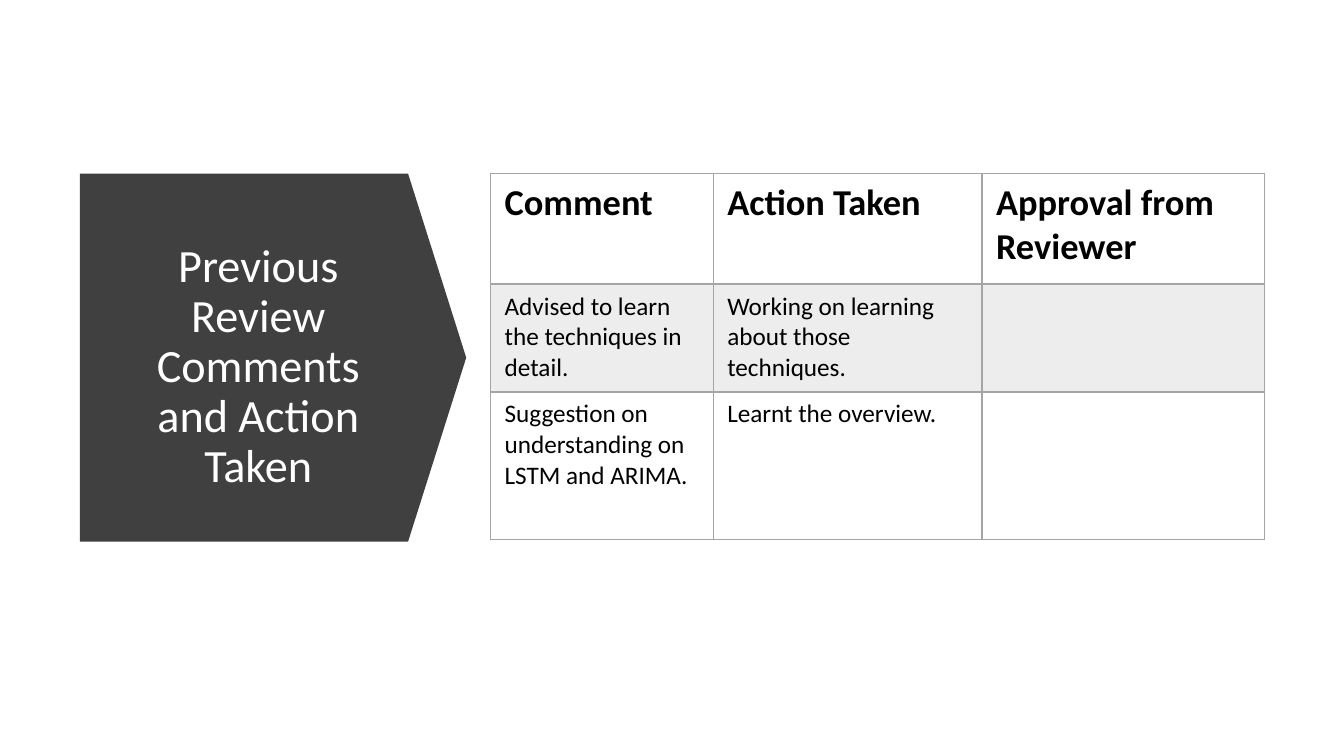
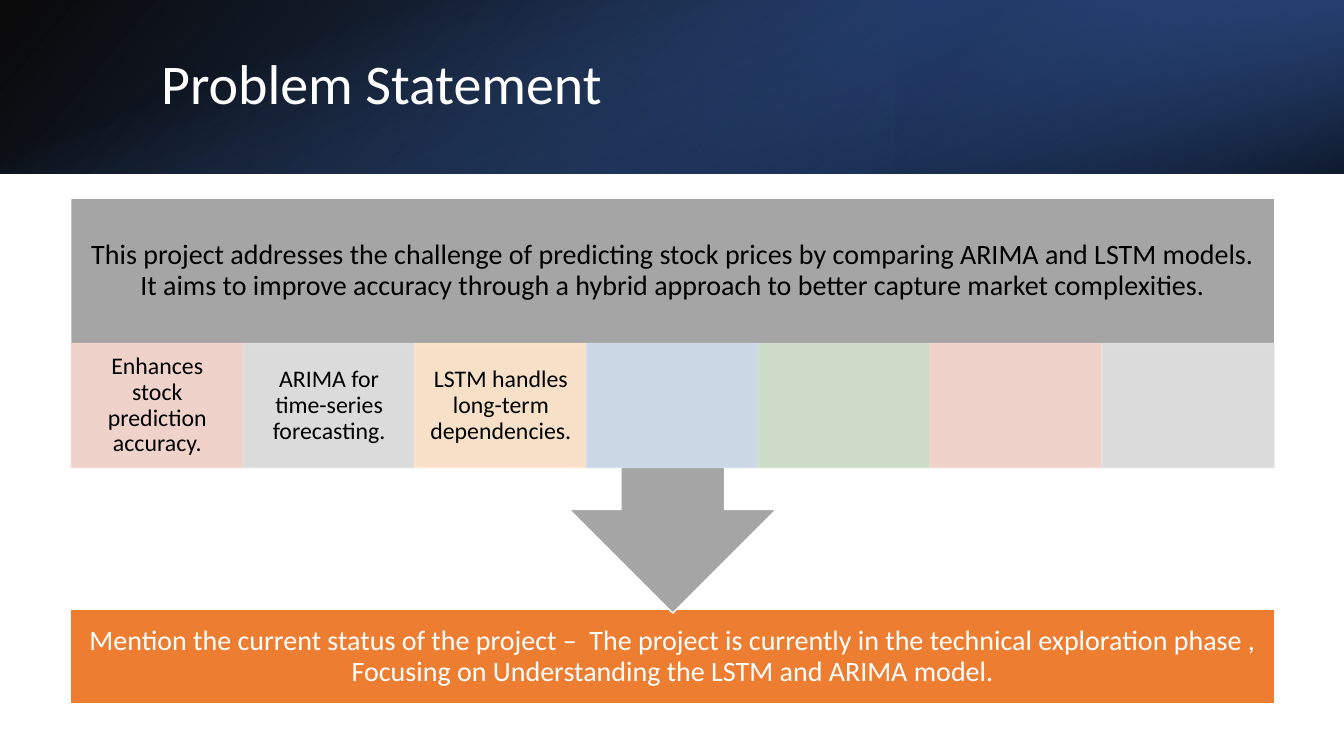
from dataclasses import dataclass

from pptx import Presentation
from pptx.dml.color import RGBColor
from pptx.enum.shapes import MSO_SHAPE as Shape
from pptx.enum.text import MSO_ANCHOR as Anchor, PP_ALIGN as Align
from pptx.oxml.ns import qn
from pptx.oxml.xmlchemy import OxmlElement
from pptx.util import Pt


@dataclass(frozen=True)
class Theme:
    font: str = "Calibri"
    white: str = "FFFFFF"
    black: str = "000000"
    dark: str = "404040"
    gray: str = "A5A5A5"
    stripe: str = "EDEDED"
    orange: str = "ED7D31"
    tiles: tuple = ("F8D7CE", "E1E1E1", "FFE8CC", "D2DEEF", "D5E3CF")
    title: float = 40
    side_title: float = 33
    header: float = 26
    body: float = 20
    cell: float = 18
    tile: float = 17


T = Theme()
WIDTH, HEIGHT = 960, 540


def rgb(color):
    return RGBColor.from_string(color)


def write(tf, text, size, color, align=Align.LEFT, bold=False, spacing=0.9):
    p = tf.paragraphs[0]
    p.alignment, p.line_spacing = align, spacing
    r = p.add_run()
    r.text = text
    r.font.name, r.font.size, r.font.bold = T.font, Pt(size), bold
    r.font.color.rgb = rgb(color)


def set_frame(tf, inset_x, inset_y):
    tf.word_wrap, tf.vertical_anchor = True, Anchor.MIDDLE
    tf.margin_left = tf.margin_right = Pt(inset_x)
    tf.margin_top = tf.margin_bottom = Pt(inset_y)


def add_text(s, box, text, size, color, align=Align.LEFT, insets=(7.2, 3.6)):
    tf = s.shapes.add_textbox(*map(Pt, box)).text_frame
    set_frame(tf, *insets)
    write(tf, text, size, color, align)


def add_block(s, kind, box, fill=None, line=None):
    sp = s.shapes.add_shape(kind, *map(Pt, box))
    sp.shadow.inherit = False
    if fill:
        sp.fill.solid()
        sp.fill.fore_color.rgb = rgb(fill)
    if line:
        sp.line.color.rgb = rgb(line)
        sp.line.width = Pt(1)
    else:
        sp.line.fill.background()
    return sp


def set_alpha(sp, alphas):
    """Give the shape's colours, in order, their opacity in percent."""
    for clr, percent in zip(sp._element.spPr.iter(qn("a:srgbClr")), alphas):
        alpha = OxmlElement("a:alpha")
        alpha.set("val", str(percent * 1000))
        clr.append(alpha)


def add_gradient(s, box, angle, stops, rotation=0, flip=False):
    """Angle is clockwise; each stop is (position %, colour, opacity %)."""
    sp = add_block(s, Shape.RECTANGLE, box)
    sp.fill.gradient()
    sp.fill.gradient_angle = 360 - angle
    for stop, (position, color, _) in zip(sp.fill.gradient_stops, stops):
        stop.position = position / 100
        stop.color.rgb = rgb(color)
    set_alpha(sp, [alpha for _, _, alpha in stops])
    sp.rotation = rotation
    if flip:
        sp._element.spPr.find(qn("a:xfrm")).set("flipH", "1")


def set_borders(cell, widths):
    """Widths are in points, in the order left, right, top, bottom."""
    tcPr = cell._tc.get_or_add_tcPr()
    for i, (side, width) in enumerate(zip("LRTB", widths)):
        ln = OxmlElement(f"a:ln{side}")
        ln.set("w", str(Pt(width)))
        fill, clr = OxmlElement("a:solidFill"), OxmlElement("a:srgbClr")
        clr.set("val", T.gray)
        fill.append(clr)
        ln.append(fill)
        tcPr.insert(i, ln)


# Regions

def title_band(s, box, title):
    x, y, w, h = box
    add_gradient(s, box, 140, [(0, "000000", 96), (100, "2F5597", 100)], flip=True)
    # Glow over the right third
    add_gradient(s, (x + w * 2 / 3, y, w / 3, h), 320,
                 [(19, "203864", 68), (100, "4472C4", 79)], rotation=180, flip=True)
    # Shade over the whole band, drawn upright and turned about its centre
    add_gradient(s, (x + (w - h) / 2, y + (h - w) / 2, h, w), 340,
                 [(23, "4472C4", 0), (99, "000000", 74)], rotation=90)
    add_text(s, (x + 108, y + 27.5, 790, 69), title, T.title, T.white)


def side_title(s, box, title):
    x, y, w, h = box
    sp = add_block(s, Shape.PENTAGON, box, T.dark)
    sp.adjustments[0] = 0.158
    add_text(s, (x + 24, y + 38, 207, 201), title, T.side_title, T.white, Align.CENTER)


def review_table(s, box, columns, heights, rows):
    table = s.shapes.add_table(len(rows), len(columns), *map(Pt, box)).table
    table.first_row = table.horz_banding = False
    for col, width in zip(table.columns, columns):
        col.width = Pt(width)
    for i, (row, height, texts) in enumerate(zip(table.rows, heights, rows)):
        row.height = Pt(height)
        for cell, text in zip(row.cells, texts):
            cell.margin_left = cell.margin_right = Pt(10)
            cell.margin_top = cell.margin_bottom = Pt(5)
            if i == 1:
                cell.fill.solid()
                cell.fill.fore_color.rgb = rgb(T.stripe)
            else:
                cell.fill.background()
            set_borders(cell, (1, 1, 2 if i == 1 else 1, 2 if i == 0 else 1))
            if text:
                write(cell.text_frame, text, T.cell if i else T.header, T.black,
                      bold=i == 0, spacing=1)


def tile_row(s, box, texts, count):
    x, y, w, h = box
    step = w / count
    for i in range(count):
        color = T.tiles[i % len(T.tiles)]
        sp = add_block(s, Shape.RECTANGLE, (x + i * step, y, step, h), color, color)
        set_alpha(sp, (90, 90))
        if i < len(texts):
            set_frame(sp.text_frame, 9, 1.5)
            write(sp.text_frame, texts[i], T.tile, T.black, Align.CENTER)


def problem_flow(s, box, problem, points, status):
    x, y, w, h = box
    # Status bar at the foot
    bar = add_block(s, Shape.RECTANGLE, (x, y + h - 67.5, w, 67.5), T.orange, T.white)
    set_frame(bar.text_frame, 11, 11)
    write(bar.text_frame, status, T.body, T.white, Align.CENTER)
    # Problem callout, pointing at the bar
    add_block(s, Shape.DOWN_ARROW_CALLOUT, (x, y, w, 296.5), T.gray, T.white)
    add_text(s, (x, y, w, 104), problem, T.body, T.black, Align.CENTER, (11, 11))
    # Tiles in the lower part of the callout
    tile_row(s, (x + 0.5, y + 104, w - 1, 88.5), points, 7)


# Slides

def review_slide(s):
    side_title(s, (57, 124, 276, 263), "Previous Review Comments and Action Taken")
    review_table(s, (350.5, 124, 553, 261.5), (159, 192, 202), (79, 77, 105.5), [
        ("Comment", "Action Taken", "Approval from Reviewer"),
        ("Advised to learn the techniques in detail.",
         "Working on learning about those techniques.", ""),
        ("Suggestion on understanding on LSTM and ARIMA.", "Learnt the overview.", ""),
    ])


def problem_slide(s):
    title_band(s, (0, 0, WIDTH, 124), "Problem Statement")
    problem_flow(
        s, (50.5, 141.5, 860, 361.5),
        "This project addresses the challenge of predicting stock prices by comparing "
        "ARIMA and LSTM models. It aims to improve accuracy through a hybrid approach "
        "to better capture market complexities.",
        ("Enhances stock prediction accuracy.", "ARIMA for time-series forecasting.",
         "LSTM handles long-term dependencies."),
        "Mention the current status of the project –  The project is currently in the "
        "technical exploration phase , Focusing on Understanding the LSTM and ARIMA model.")


def main():
    prs = Presentation()
    prs.slide_width, prs.slide_height = Pt(WIDTH), Pt(HEIGHT)
    for build in (review_slide, problem_slide):
        build(prs.slides.add_slide(prs.slide_layouts[6]))
    prs.save("out.pptx")


if __name__ == "__main__":
    main()
